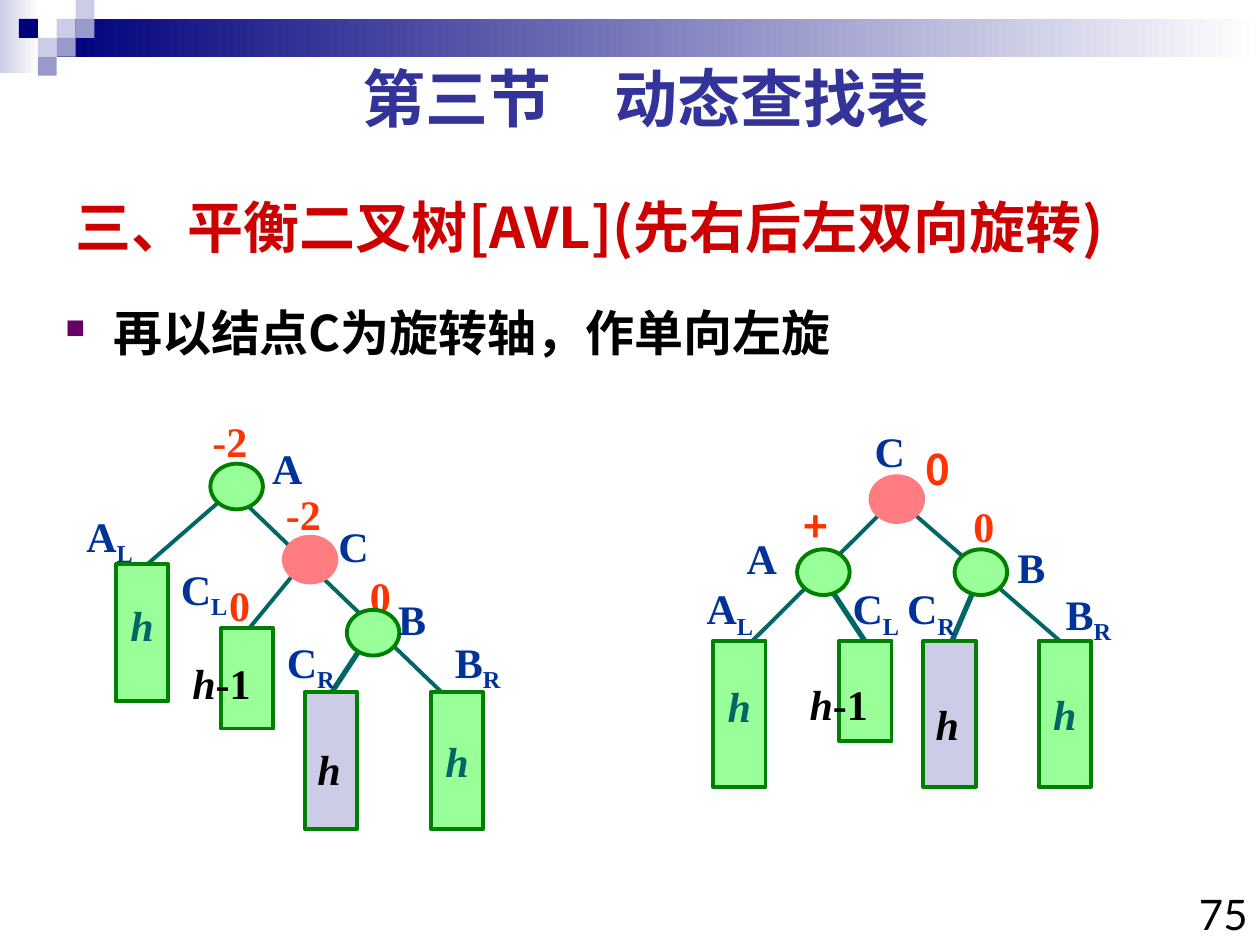
from dataclasses import dataclass
from lxml import etree
from pptx import Presentation
from pptx.dml.color import RGBColor
from pptx.enum.shapes import MSO_CONNECTOR, MSO_SHAPE
from pptx.enum.text import MSO_ANCHOR, MSO_AUTO_SIZE, PP_ALIGN
from pptx.oxml.ns import qn
from pptx.util import Inches, Pt

RECTANGLE, OVAL = MSO_SHAPE.RECTANGLE, MSO_SHAPE.OVAL
STRAIGHT = MSO_CONNECTOR.STRAIGHT
MIDDLE = MSO_ANCHOR.MIDDLE
FIT = MSO_AUTO_SIZE.SHAPE_TO_FIT_TEXT
LEFT, CENTER, RIGHT = PP_ALIGN.LEFT, PP_ALIGN.CENTER, PP_ALIGN.RIGHT


@dataclass(frozen=True)
class Theme:
    serif: str = "Times New Roman"
    sans: str = "Lato"
    cjk: str = "Noto Sans CJK SC"
    navy: str = "00007D"
    lilac: str = "CCCCE6"
    violet: str = "9999CC"
    white: str = "FFFFFF"
    black: str = "000000"
    header: str = "333399"
    title: str = "CC0000"
    bullet: str = "660066"
    edge: str = "006666"
    outline: str = "008000"
    green: str = "99FF99"
    pink: str = "FF7C80"
    factor: str = "FF3300"
    name: str = "003399"
    header_size: int = 36
    title_size: int = 32
    body_size: int = 28
    label_size: int = 24


THEME = Theme()
COLUMN, ROW, TILE = 1 / 12, 0.0725, 0.15
LABEL_WIDTHS = {"A": 0.44, "B": 0.42, "C": 0.44, "0": 0.36, "-2": 0.48, "+": 0.4,
                "A_L": 0.57, "C_L": 0.57, "C_R": 0.58, "B_R": 0.56,
                "h": 0.38, "h-1": 0.66}


def color(value):
    return RGBColor.from_string(value)


def style(span, size, ink, font, bold=True, italic=False):
    span.font.size, span.font.bold, span.font.italic = Pt(size), bold, italic
    span.font.color.rgb = color(ink)
    span.font.name = font
    east_asian = etree.SubElement(span.font._element, qn("a:ea"))
    east_asian.set("typeface", THEME.cjk)


def add_box(shapes, left, top, width, height, wrap=True):
    box = shapes.add_textbox(*map(Inches, (left, top, width, height)))
    box.text_frame.word_wrap = wrap
    return box


def write(box, text, size, ink, font, align=LEFT, bold=True):
    para = box.text_frame.paragraphs[0]
    para.text = text
    para.alignment = align
    style(para.runs[0], size, ink, font, bold)
    return para


def add_block(shapes, kind, left, top, width, height, fill, line=None):
    block = shapes.add_shape(kind, *map(Inches, (left, top, width, height)))
    block.shadow.inherit = False
    block.fill.solid()
    block.fill.fore_color.rgb = color(fill)
    if line:
        block.line.color.rgb = color(line)
        block.line.width = Pt(2.25)
    else:
        block.line.fill.background()
    return block


def add_fade(shapes, left, top, width, height, start):
    block = add_block(shapes, RECTANGLE, left, top, width, height, start)
    block.fill.gradient()
    block.fill.gradient_angle = 0
    for stop, ink, position in zip(block.fill.gradient_stops, (start, THEME.white), (0, 1)):
        stop.color.rgb = color(ink)
        stop.position = position


def add_banner(page):
    shapes = page.shapes.add_group_shape().shapes
    add_fade(shapes, 0, 0, 0.31, 0.58, THEME.lilac)
    add_fade(shapes, 3 * TILE, TILE, 10 - 3 * TILE, 2 * TILE, THEME.navy)
    tiles = ((3, 1, THEME.lilac), (4, 0, THEME.lilac), (4, 1, THEME.violet),
             (2, 2, THEME.lilac), (1, 1, THEME.navy), (3, 2, THEME.violet),
             (2, 3, THEME.violet))
    for column, row, fill in tiles:
        add_block(shapes, RECTANGLE, column * TILE, row * TILE, TILE, TILE, fill)


class Tree:
    def __init__(self, page, left, top):
        self.shapes = page.shapes.add_group_shape().shapes
        self.left, self.top = left, top

    def at(self, column, row):
        return self.left + column * COLUMN, self.top + row * ROW

    def edge(self, start, end, weight=2.25):
        points = map(Inches, (*self.at(*start), *self.at(*end)))
        line = self.shapes.add_connector(STRAIGHT, *points)
        line.line.color.rgb = color(THEME.edge)
        line.line.width = Pt(weight)
        etree.SubElement(line._element.spPr, qn("a:effectLst"))

    def node(self, column, row, fill=THEME.green, line=THEME.outline):
        add_block(self.shapes, OVAL, *self.at(column, row), 5 * COLUMN, 5 * ROW, fill, line)

    def pivot(self, column, row):
        self.node(column, row, THEME.pink, THEME.pink)

    def subtree(self, column, row, rows, fill=THEME.green, text="", spacing=1.0):
        block = add_block(self.shapes, RECTANGLE, *self.at(column, row),
                          5 * COLUMN, rows * ROW, fill, THEME.outline)
        if text:
            block.text_frame.word_wrap = False
            block.text_frame.vertical_anchor = MIDDLE
            para = write(block, text, THEME.label_size, THEME.edge, THEME.serif, CENTER)
            para.line_spacing = spacing
            para.runs[0].font.italic = True

    def label(self, text, column, row, ink=THEME.name, font=THEME.serif):
        base, _, subscript = text.partition("_")
        height = 0.56 if subscript else 0.5
        box = add_box(self.shapes, *self.at(column, row), LABEL_WIDTHS[text], height, False)
        box.text_frame.auto_size = FIT
        para = box.text_frame.paragraphs[0]
        parts = ("h", base[1:]) if base.startswith("h") else (base, subscript)
        for part in filter(None, parts):
            span = para.add_run()
            span.text = part
            style(span, THEME.label_size, ink, font, italic=part == "h")
            if part == subscript:
                span.font._element.set("baseline", "-25000")

    def labels(self, items, ink):
        for item in items:
            self.label(*item, ink)


def draw_before(page):
    tree = Tree(page, 0.92, 3.68)
    tree.edge((24, 19), (20, 26), 3)
    for start, end in (((10, 4), (1, 13)), ((12, 4), (31, 25)), ((17, 12), (12, 19))):
        tree.edge(start, end)
    tree.labels((("0", 23, 11), ("0", 9.6, 12), ("-2", 8, -6), ("-2", 15, 2)), THEME.factor)
    tree.node(9, 0)
    tree.pivot(16, 8)
    tree.node(22, 16)
    tree.subtree(0, 11, 15, text="h", spacing=0.6)
    tree.subtree(10, 18, 11)
    tree.subtree(18, 25, 15, THEME.lilac)
    tree.subtree(30, 25, 15, text="h")
    tree.labels((("A", 13.7, -3), ("B", 25.7, 13.5), ("C", 20, 5.5), ("A_L", -4, 4.4),
                 ("C_L", 5, 10.2), ("C_R", 15.1, 18.2), ("B_R", 31.1, 18.2)), THEME.name)
    tree.labels((("h-1", 6.1, 20.5), ("h", 18, 30)), THEME.black)


def draw_after(page):
    tree = Tree(page, 5.66, 3.78)
    for start, end in (((25, 12), (22, 20)), ((11, 12), (15, 19))):
        tree.edge(start, end, 3)
    for start, end in (((19, 4), (33, 18)), ((16, 4), (2, 20))):
        tree.edge(start, end)
    tree.label("0", 19, -4.3, THEME.factor, THEME.cjk)
    tree.label("+", 7.4, 2, THEME.factor, THEME.cjk)
    tree.label("0", 23.6, 2, THEME.factor)
    tree.pivot(15, 0)
    tree.node(8, 8)
    tree.node(23, 8)
    tree.subtree(0, 18, 16, text="h", spacing=0.6)
    tree.subtree(12, 18, 11)
    tree.subtree(20, 18, 16, THEME.lilac)
    tree.subtree(31, 18, 16, text="h")
    tree.labels((("A", 2, 5.5), ("B", 27.8, 6.5), ("C", 14.2, -6.2), ("A_L", -1.8, 11),
                 ("C_L", 12.1, 11), ("C_R", 17.3, 11), ("B_R", 32.4, 11.6)), THEME.name)
    tree.labels((("h-1", 8, 21.5), ("h", 20, 23.6)), THEME.black)


def add_title(page, text):
    title = page.shapes.title
    title.left, title.top, title.width, title.height = map(Inches, (0.5, 1.42, 8.75, 0.75))
    title.text_frame.vertical_anchor = MIDDLE
    title.text_frame.word_wrap = True
    write(title, text, THEME.title_size, THEME.title, THEME.cjk)


def add_bullet(page, text):
    box = add_box(page.shapes, 0.42, 2.33, 9.58, 4.42)
    properties = box.text_frame.paragraphs[0]._p.get_or_add_pPr()
    properties.set("marL", str(Inches(0.38)))
    properties.set("indent", str(-Inches(0.38)))
    tint = etree.SubElement(properties, qn("a:buClr"))
    etree.SubElement(tint, qn("a:srgbClr")).set("val", THEME.bullet)
    etree.SubElement(properties, qn("a:buSzPct")).set("val", "55000")
    etree.SubElement(properties, qn("a:buChar")).set("char", "■")
    para = write(box, text, THEME.body_size, THEME.black, THEME.cjk)
    para.line_spacing = 1.05


def main():
    deck = Presentation()
    deck.slide_width, deck.slide_height = Inches(10), Inches(7.5)
    page = deck.slides.add_slide(deck.slide_layouts[5])
    add_banner(page)
    add_title(page, "三、平衡二叉树[AVL](先右后左双向旋转)")
    number = add_box(page.shapes, 9.33, 7, 0.67, 0.59)
    write(number, "75", THEME.label_size, THEME.black, THEME.sans, RIGHT, False)
    header = add_box(page.shapes, 0.5, 0.42, 9.25, 0.7)
    write(header, "第三节　动态查找表", THEME.header_size, THEME.header, THEME.sans, CENTER)
    add_bullet(page, "再以结点C为旋转轴，作单向左旋")
    draw_before(page)
    draw_after(page)
    deck.save("out.pptx")


if __name__ == "__main__":
    main()
